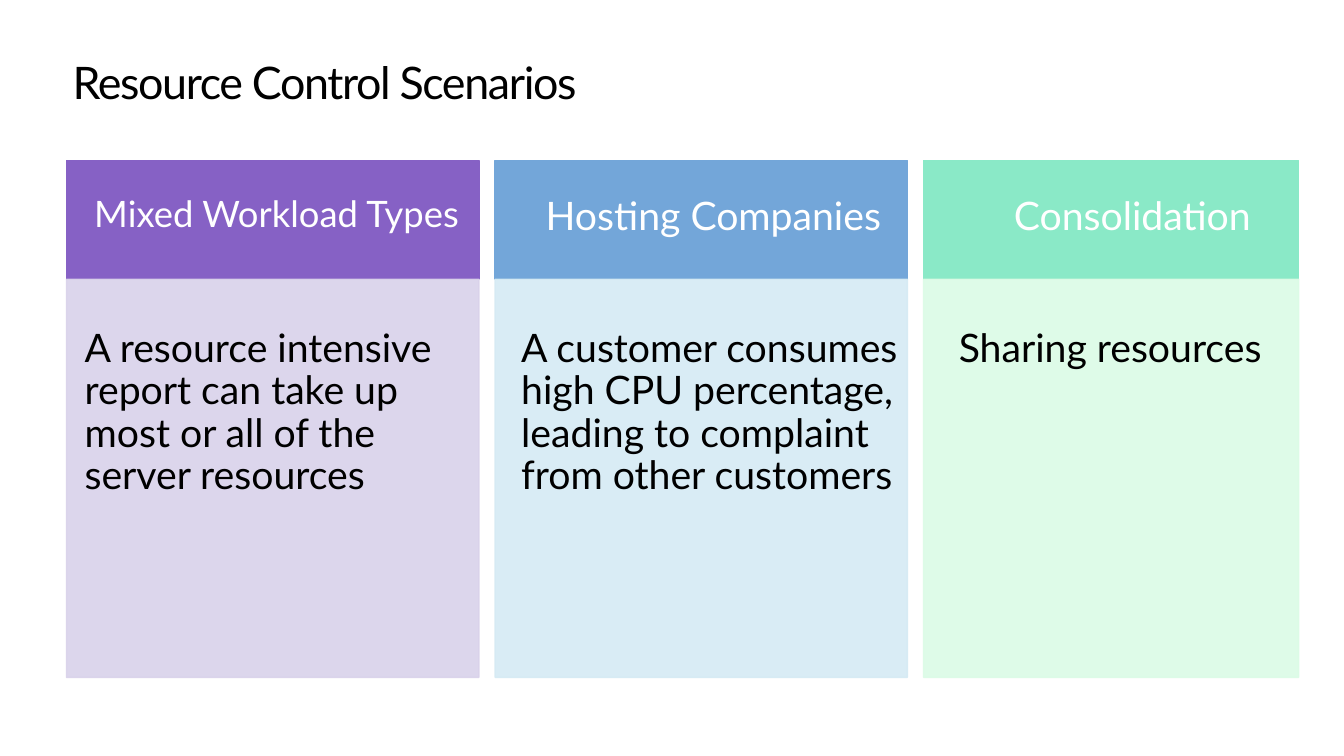
from lxml import etree
from pptx import Presentation
from pptx.dml.color import RGBColor
from pptx.enum.shapes import MSO_SHAPE
from pptx.enum.text import MSO_ANCHOR, PP_ALIGN
from pptx.oxml.ns import qn
from pptx.util import Inches, Pt

FONT = "Lato"
COLUMN_TOP, COLUMN_GAP = 1.59, 0.16
HEADER_HEIGHT, BODY_HEIGHT = 1.18, 3.95
SCENARIOS = [
    ("Mixed Workload Types", 26, "8661C5",
     "A resource intensive report can take up most or all of the server resources",
     "D9D2EA", 4.09, 0),
    ("Hosting Companies", 28, "73A6D9",
     "A customer consumes high CPU percentage, leading to complaint from other customers",
     "D5EAF4", 4.09, 0.08),
    ("Consolidation", 28, "8AE9C7", "Sharing resources", "DBFBE6", 3.72, 0.17),
]


def rgb(value):
    """Turn a hex string into a colour."""
    return RGBColor.from_string(value)


def set_text(sp, text, size, color, insets, align, spacing):
    """Write one paragraph into a shape, with insets in inches."""
    tf = sp.text_frame
    tf.word_wrap = True
    tf.vertical_anchor = MSO_ANCHOR.TOP
    tf.margin_left, tf.margin_top, tf.margin_right, tf.margin_bottom = map(Inches, insets)
    tf.text = text
    p = tf.paragraphs[0]
    p.alignment = align
    p.line_spacing = spacing
    r = p.runs[0]
    r.font.name = FONT
    r.font.size = Pt(size)
    r.font.color.rgb = rgb(color)
    return r


def add_panel(s, box, color, alpha=100):
    """Add a rectangle whose fill and line share a colour and opacity."""
    sp = s.shapes.add_shape(MSO_SHAPE.RECTANGLE, *map(Inches, box))
    sp.shadow.inherit = False
    sp.fill.solid()
    sp.fill.fore_color.rgb = rgb(color)
    sp.line.color.rgb = rgb(color)
    sp.line.width = Pt(1)
    if alpha < 100:
        for clr in sp._element.spPr.iter(qn("a:srgbClr")):
            etree.SubElement(clr, qn("a:alpha")).set("val", str(alpha * 1000))
    return sp


def add_title(s, text, box):
    """Add the slide title with tightened letters."""
    sp = s.shapes.add_textbox(*map(Inches, box))
    r = set_text(sp, text, 32, "000000", (0, 0.1, 0.16, 0.1), PP_ALIGN.LEFT, Pt(47.1))
    r.font._element.set("spc", "-100")


def add_scenario(s, scenario, left, top):
    """Add a scenario column: a coloured header above a pale body."""
    heading, size, dark, detail, pale, width, shift = scenario
    header = add_panel(s, (left, top, width, HEADER_HEIGHT), dark)
    set_text(header, heading, size, "FFFFFF", (0.22 + shift, 0.36, 0.14 - shift, -0.19),
             PP_ALIGN.CENTER, 0.9)
    body = add_panel(s, (left, top + HEADER_HEIGHT, width, BODY_HEIGHT), pale, 90)
    set_text(body, detail, 28, "000000", (0.18 + shift, 0.49, 0.16 - shift, 0.38),
             PP_ALIGN.LEFT, 0.9)


def main():
    """Build and save the slide."""
    prs = Presentation()
    prs.slide_width, prs.slide_height = Inches(13.33), Inches(7.5)
    s = prs.slides.add_slide(prs.slide_layouts[6])
    add_title(s, "Resource Control Scenarios", (0.72, 0.32, 12.74, 0.98))
    left = 0.66
    for scenario in SCENARIOS:
        add_scenario(s, scenario, left, COLUMN_TOP)
        left += scenario[5] + COLUMN_GAP
    prs.save("out.pptx")


if __name__ == "__main__":
    main()
